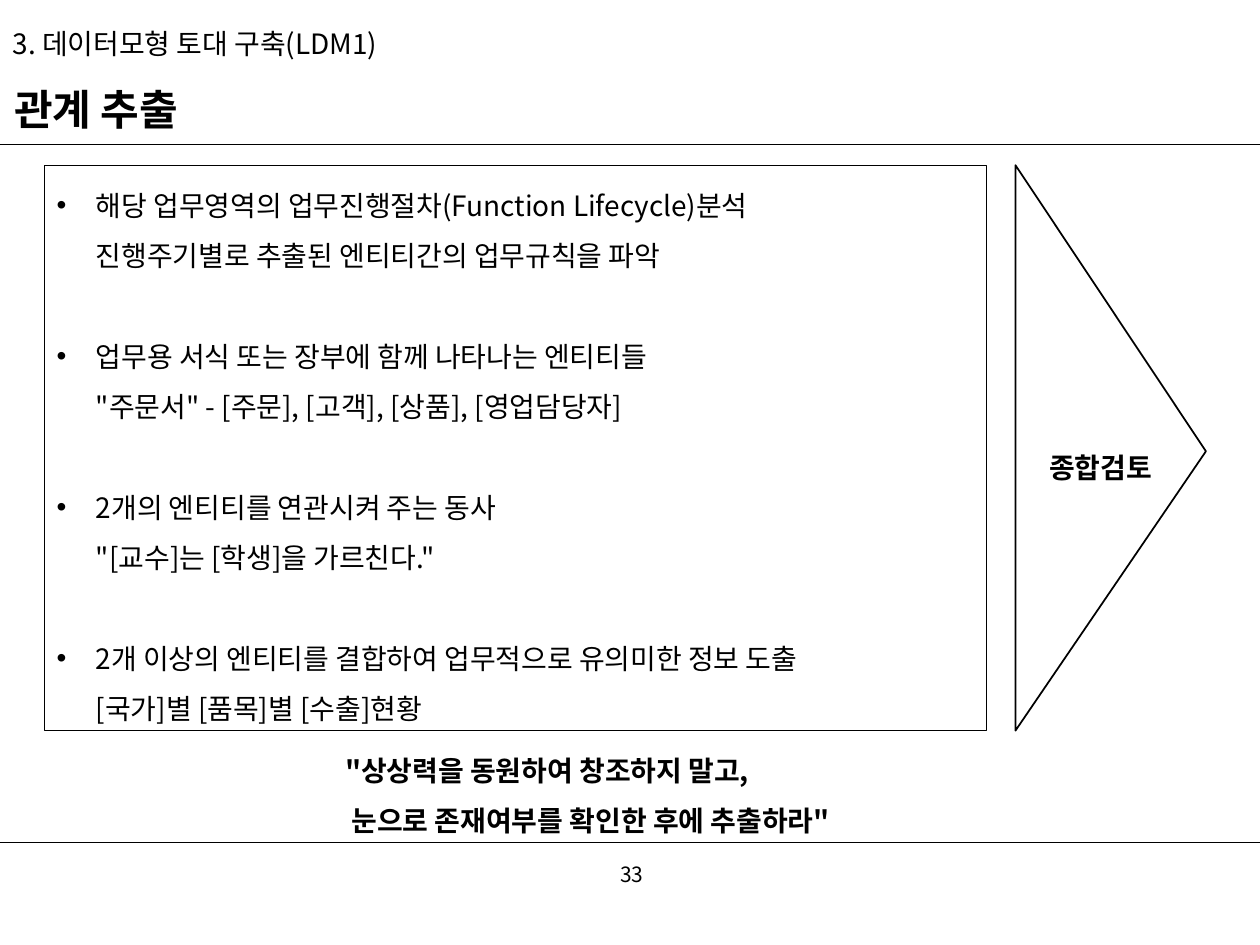
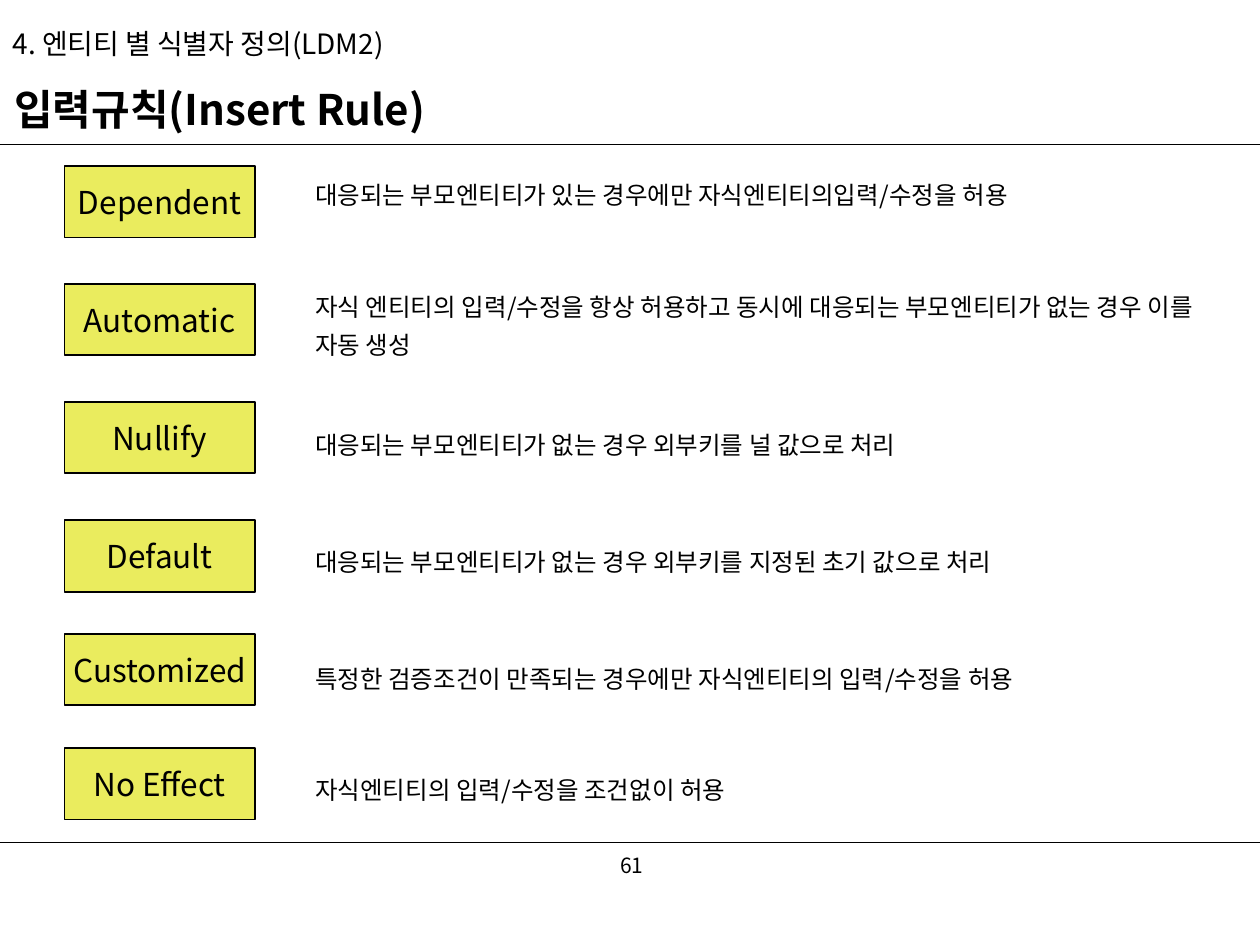
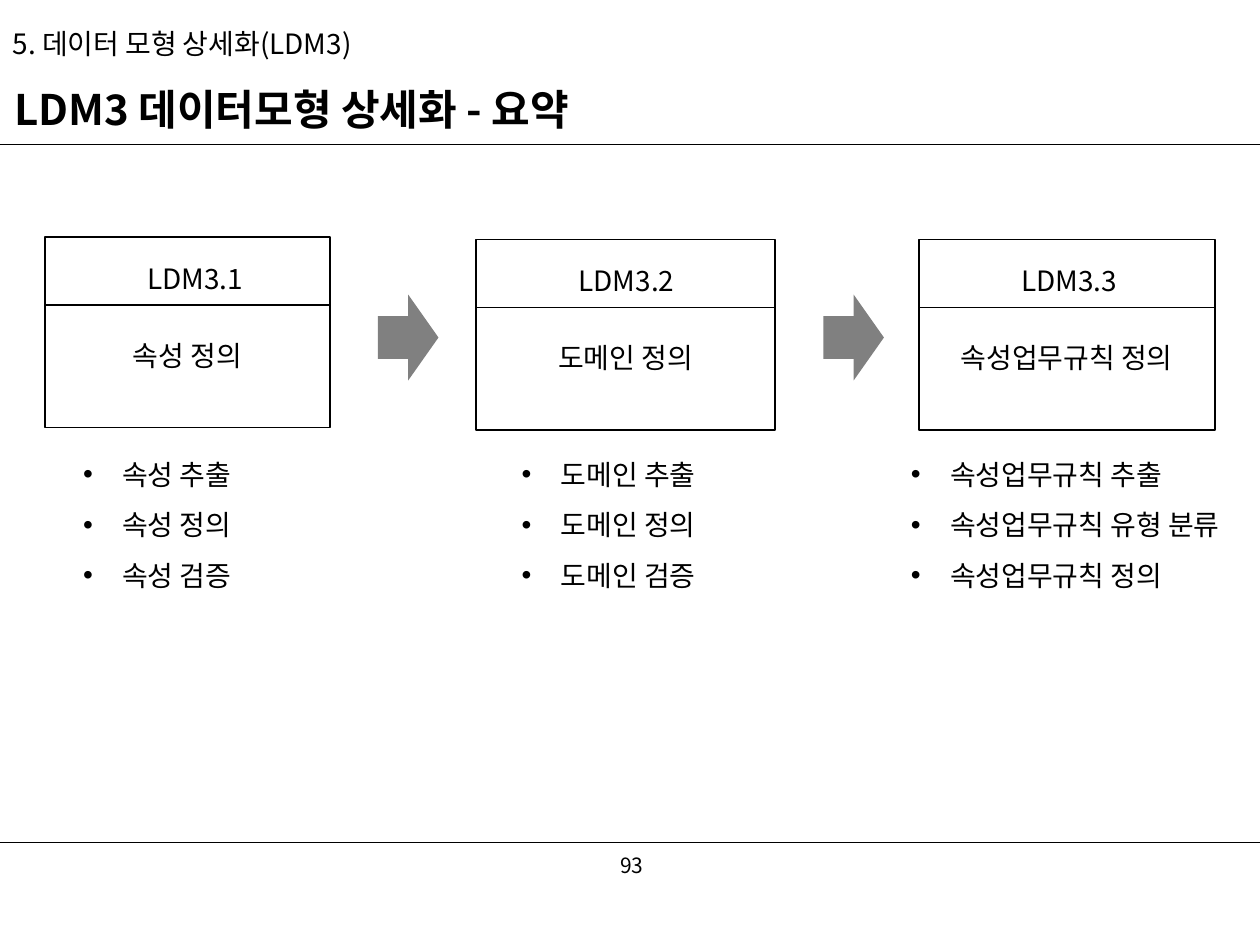
from dataclasses import dataclass
from typing import NamedTuple

from lxml.etree import SubElement
from pptx import Presentation
from pptx.dml.color import RGBColor
from pptx.enum.shapes import MSO_CONNECTOR as Link, MSO_SHAPE as Preset
from pptx.enum.text import MSO_ANCHOR as Anchor, MSO_AUTO_SIZE as Fit, PP_ALIGN as Align
from pptx.oxml.ns import qn
from pptx.util import Cm, Pt


@dataclass(frozen=True)
class Theme:
    font: str = "Noto Sans CJK KR"
    ink: RGBColor = RGBColor(0x00, 0x00, 0x00)
    paper: RGBColor = RGBColor(0xFF, 0xFF, 0xFF)
    label: RGBColor = RGBColor(0xEA, 0xEC, 0x5E)
    arrow: RGBColor = RGBColor(0x80, 0x80, 0x80)
    heading_size: float = 24
    label_size: float = 18
    text_size: float = 16
    rule_size: float = 14
    number_size: float = 12
    thin: float = 0.75
    line: float = 1


THEME = Theme()


class Box(NamedTuple):
    """Left, top, width and height in centimetres."""
    left: float
    top: float
    width: float
    height: float

    def inner(self, left, top, width, height):
        return Box(self.left + left, self.top + top, width, height)

    def lengths(self):
        return [Cm(value) for value in self]


PAGE = Box(0, 0, 25.4, 19.05)
SECTION = Box(0, 0.25, 25.4, 1.32)
HEADING = Box(0.03, 1.6, 24.79, 1.32)
RULE_TOPS = (2.92, 16.99)


# Shared building parts

def place(shape, box):
    shape.left, shape.top, shape.width, shape.height = box.lengths()


def write(shape, lines, size=THEME.text_size, bold=False, align=Align.LEFT,
          anchor=Anchor.TOP, spacing=1.0, gaps=(), bullet=None, wrap=True):
    """Fill a shape with one paragraph per line; gaps are points before each."""
    frame = shape.text_frame
    frame.auto_size = Fit.NONE
    frame.word_wrap = wrap
    frame.vertical_anchor = anchor
    for number, line in enumerate(lines):
        para = frame.add_paragraph() if number else frame.paragraphs[0]
        para.text = line
        props = para._p.get_or_add_pPr()
        indent = Cm(0.79) if bullet else 0
        props.set("marL", str(indent))
        props.set("indent", str(-indent))
        if bullet:
            SubElement(props, qn("a:buChar"), char=bullet)
        else:
            SubElement(props, qn("a:buNone"))
        para.alignment = align
        para.line_spacing = spacing
        para.space_before = Pt(gaps[number] if gaps else 0)
        font = para.font
        font.name, font.size, font.bold = THEME.font, Pt(size), bold
        font.color.rgb = THEME.ink
        SubElement(props.get_or_add_defRPr(), qn("a:ea"), typeface=THEME.font)


def add_text(page, box, lines, **style):
    write(page.shapes.add_textbox(*box.lengths()), lines, **style)


def outline(shape, width=THEME.line):
    shape.line.color.rgb = THEME.ink
    shape.line.width = Pt(width)


def add_preset(page, preset, box, fill, lined=True):
    shape = page.shapes.add_shape(preset, *box.lengths())
    shape.shadow.inherit = False
    shape.fill.solid()
    shape.fill.fore_color.rgb = fill
    if lined:
        outline(shape)
    else:
        shape.line.fill.background()
    return shape


def add_rule(page, left, top, width, weight=THEME.line):
    rule = page.shapes.add_connector(
        Link.STRAIGHT, Cm(left), Cm(top), Cm(left + width), Cm(top))
    outline(rule, weight)
    SubElement(rule.element.spPr, qn("a:effectLst"))
    return rule


def add_master_rules(deck, page):
    """Draw the two page-wide rules and move them to the slide master."""
    for number, top in enumerate(RULE_TOPS):
        rule = add_rule(page, PAGE.left, top, PAGE.width, THEME.thin).element
        rule.nvCxnSpPr.cNvPr.id = 20 + number
        deck.slide_master.shapes.element.append(rule)


def start_page(deck, layout, section, heading, number, number_top=16.94):
    """Add a page with its titles and number; return it and its free bodies."""
    page = deck.slides.add_slide(deck.slide_layouts.get_by_name(layout))
    title, subtitle, *bodies = page.placeholders
    place(title, SECTION)
    write(title, [section], anchor=Anchor.MIDDLE, spacing=0.9)
    place(subtitle, HEADING)
    write(subtitle, [heading], size=THEME.heading_size, bold=True,
          anchor=Anchor.MIDDLE, spacing=0.9)
    add_text(page, Box(9.88, number_top, 5.72, 1.02), [number],
             size=THEME.number_size, align=Align.CENTER, anchor=Anchor.MIDDLE)
    return page, bodies


# Relation sources

def add_review_pointer(page, box, text):
    """A triangle pointing right that fills the box, with its label."""
    middle, centre = box.left + box.width / 2, box.top + box.height / 2
    upright = Box(middle - box.height / 2, centre - box.width / 2,
                  box.height, box.width)
    triangle = add_preset(page, Preset.ISOSCELES_TRIANGLE, upright, THEME.paper)
    triangle.adjustments[0] = 0.506
    triangle.rotation = 90
    add_text(page, box.inner(0.43, 5.28, 2.79, 1.14), [text],
             bold=True, spacing=1.5, wrap=False)


def build_relations(deck):
    page, (sources,) = start_page(
        deck, "Two Content", "3. 데이터모형 토대 구축(LDM1)", "관계 추출", "33", 17.12)
    add_master_rules(deck, page)
    place(sources, Box(0.89, 3.33, 19, 11.4))
    outline(sources, THEME.thin)
    write(sources, [
        "해당 업무영역의 업무진행절차(Function Lifecycle)분석\n"
        "진행주기별로 추출된 엔티티간의 업무규칙을 파악",
        "업무용 서식 또는 장부에 함께 나타나는 엔티티들\n"
        "\"주문서\" - [주문], [고객], [상품], [영업담당자]",
        "2개의 엔티티를 연관시켜 주는 동사\n"
        "\"[교수]는 [학생]을 가르친다.\"",
        "2개 이상의 엔티티를 결합하여 업무적으로 유의미한 정보 도출\n"
        "[국가]별 [품목]별 [수출]현황",
    ], spacing=1.5, gaps=(0, 28.8, 28.8, 28.8), bullet="•")
    add_review_pointer(page, Box(20.47, 3.33, 3.84, 11.4), "종합검토")
    add_text(page, Box(6.71, 14.73, 11.43, 2.18), [
        "\"상상력을 동원하여 창조하지 말고,",
        " 눈으로 존재여부를 확인한 후에 추출하라\"",
    ], bold=True, spacing=1.5)


# Insert rules

def add_rule_labels(page, box, labels):
    """Stack labels in the box; each comes with its distance from the top."""
    for text, offset in labels:
        label = add_preset(page, Preset.RECTANGLE,
                           box.inner(0, offset, box.width, 1.44), THEME.label)
        write(label, [text], size=THEME.label_size, align=Align.CENTER,
              anchor=Anchor.MIDDLE, wrap=False)


def build_insert_rules(deck):
    page, (meanings,) = start_page(
        deck, "Two Content", "4. 엔티티 별 식별자 정의(LDM2)",
        "입력규칙(Insert Rule)", "61")
    place(meanings, Box(6.1, 3.33, 19, 13.21))
    write(meanings, [
        "대응되는 부모엔티티가 있는 경우에만 자식엔티티의입력/수정을 허용",
        "자식 엔티티의 입력/수정을 항상 허용하고 동시에 대응되는 부모엔티티가 없는 경우 이를 자동 생성",
        "대응되는 부모엔티티가 없는 경우 외부키를 널 값으로 처리",
        "대응되는 부모엔티티가 없는 경우 외부키를 지정된 초기 값으로 처리",
        "특정한 검증조건이 만족되는 경우에만 자식엔티티의 입력/수정을 허용",
        "자식엔티티의 입력/수정을 조건없이 허용",
    ], size=THEME.rule_size, spacing=1.3, gaps=(0, 41.8, 35.3, 45.1, 45.1, 41.8))
    add_rule_labels(page, Box(1.3, 3.35, 3.84, 13.15), [
        ("Dependent", 0), ("Automatic", 2.37), ("Nullify", 4.75),
        ("Default", 7.14), ("Customized", 9.43), ("No Effect", 11.73)])


# Stage summary

def add_stage_card(page, box, code, name):
    add_preset(page, Preset.RECTANGLE, box, THEME.paper)
    add_rule(page, box.left, box.top + 1.37, box.width)
    add_text(page, box.inner(1.8, 0.36, 2.46, 0.94), [code],
             align=Align.CENTER, wrap=False)
    add_text(page, box.inner(0, 1.92, box.width, 0.94), [name], align=Align.CENTER)


def build_summary(deck):
    page, lists = start_page(
        deck, "Comparison", "5. 데이터 모형 상세화(LDM3)",
        "LDM3 데이터모형 상세화 - 요약", "93")
    stages = [
        (Box(0.91, 4.78, 5.74, 3.84), "LDM3.1", "속성 정의",
         Box(1.42, 8.76, 3.99, 3.2), ["속성 추출", "속성 정의", "속성 검증"]),
        (Box(9.6, 4.83, 6.02, 3.84), "LDM3.2", "도메인 정의",
         Box(10.26, 8.76, 4.57, 3.2), ["도메인 추출", "도메인 정의", "도메인 검증"]),
        (Box(18.52, 4.83, 5.97, 3.84), "LDM3.3", "속성업무규칙 정의",
         Box(18.11, 8.76, 7.2, 3.2),
         ["속성업무규칙 추출", "속성업무규칙 유형 분류", "속성업무규칙 정의"]),
    ]
    for body, (card, code, name, list_box, steps) in zip(lists, stages):
        add_stage_card(page, card, code, name)
        place(body, list_box)
        write(body, steps, spacing=1.5, bullet="•")
    for left in (7.62, 16.6):
        add_preset(page, Preset.RIGHT_ARROW, Box(left, 5.94, 1.22, 1.73),
                   THEME.arrow, lined=False)


def main():
    deck = Presentation()
    deck.slide_width, deck.slide_height = Cm(PAGE.width), Cm(PAGE.height)
    build_relations(deck)
    build_insert_rules(deck)
    build_summary(deck)
    deck.save("out.pptx")


if __name__ == "__main__":
    main()
